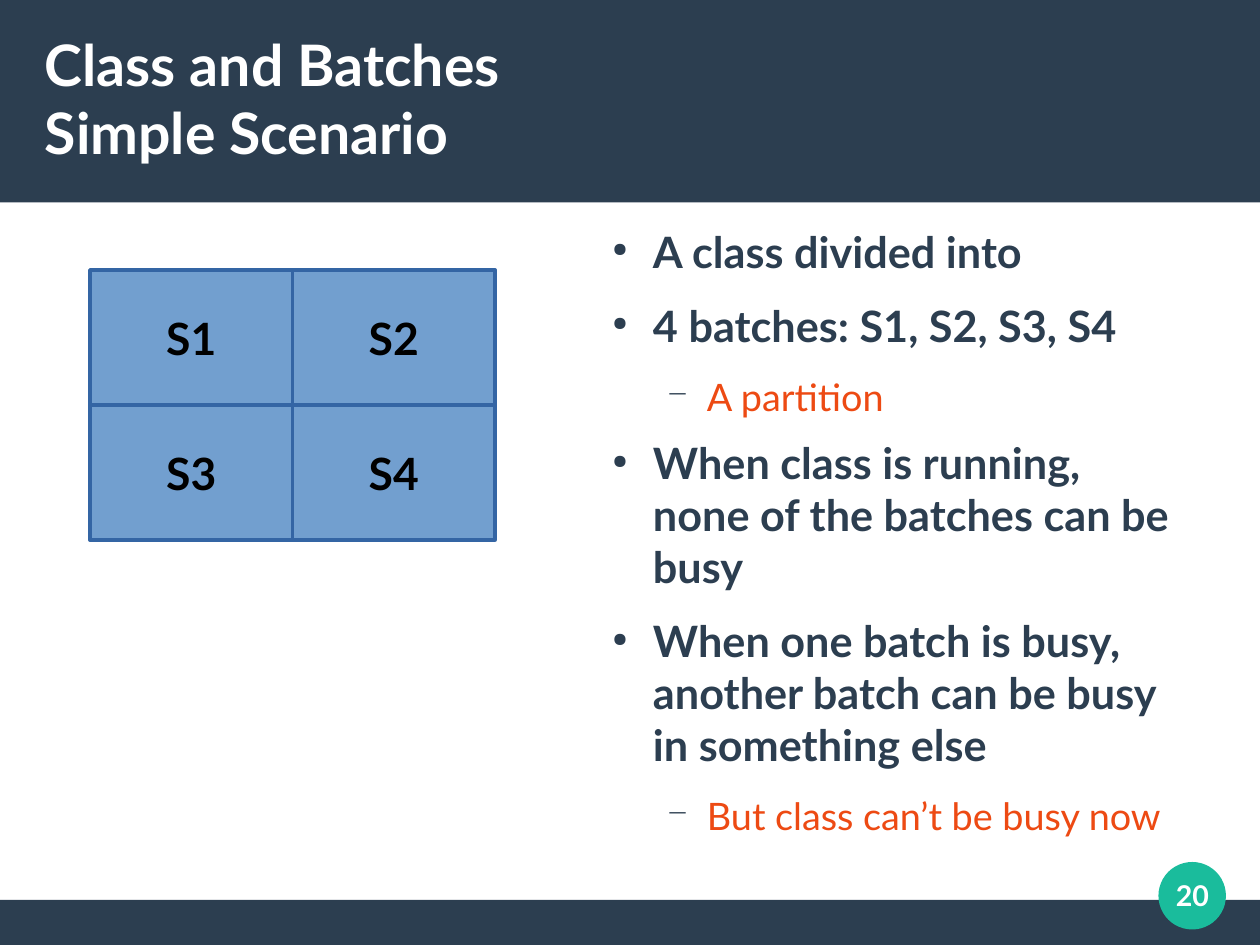
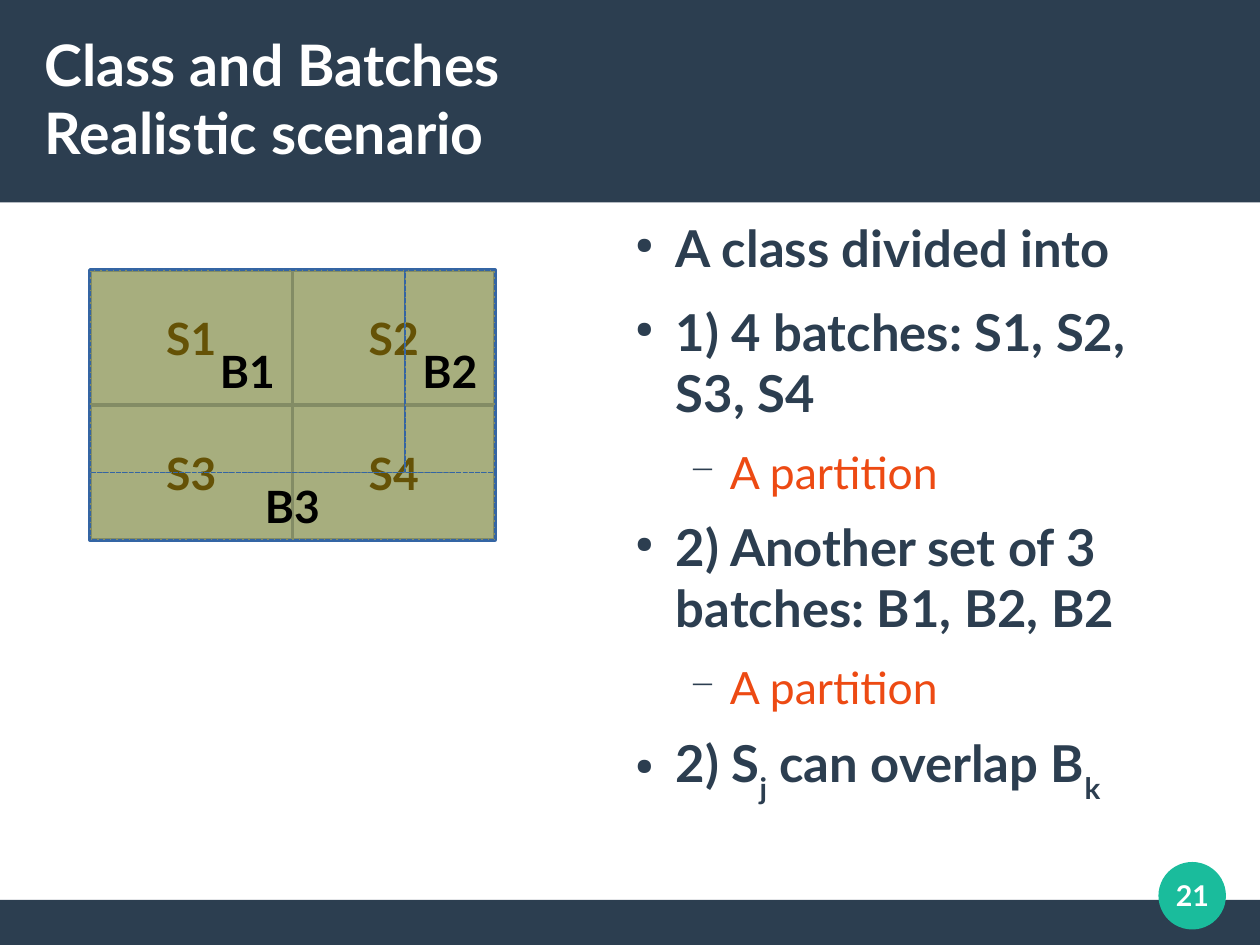
from dataclasses import dataclass
from typing import Any

from lxml.etree import SubElement as Sub
from pptx import Presentation
from pptx.dml.color import RGBColor as Rgb
from pptx.enum.dml import MSO_LINE as Dash
from pptx.enum.shapes import MSO_SHAPE as Geo
from pptx.enum.text import MSO_ANCHOR as Anchor, PP_ALIGN as Align
from pptx.oxml.ns import qn
from pptx.slide import Slide
from pptx.util import Pt

PX = 4000
WIDE, HIGH = 2520, 1890
FONT = "Lato"
NAVY = Rgb(0x2C, 0x3E, 0x50)
TEAL = Rgb(0x1A, 0xBC, 0x9C)
WHITE = Rgb(0xFF, 0xFF, 0xFF)
BLACK = Rgb(0, 0, 0)
BLUE = Rgb(0x72, 0x9F, 0xCF)
EDGE = Rgb(0x34, 0x65, 0xA4)
GOLD = Rgb(0xF1, 0xC4, 0x0F)
RED = Rgb(0xED, 0x4A, 0x13)

LEFT, TOP = 180, 540
CELL_W, CELL_H = 405, 270
STEP = 108
HANG = -81


@dataclass(frozen=True)
class Box:
    x: int
    y: int
    w: int
    h: int

    def emu(self) -> list[int]:
        return [n * PX for n in (self.x, self.y, self.w, self.h)]


@dataclass(frozen=True)
class Batch:
    name: str
    box: Box


@dataclass(frozen=True)
class Level:
    mark: str
    scale: int
    after: float
    color: Rgb
    bold: bool


@dataclass(frozen=True)
class Item:
    texts: tuple[str, ...]
    depth: int = 0


@dataclass(frozen=True)
class Page:
    title: str
    number: int
    body: Box
    sizes: tuple[float, float]
    items: tuple[Item, ...]
    extra: tuple[Batch, ...] = ()


LEVELS = (
    Level("●", 45, 14.1, NAVY, True),
    Level("−", 75, 11.3, RED, False),
)

BANDS = (
    (Geo.RECTANGLE, Box(0, 1800, WIDE, 90), NAVY),
    (Geo.RECTANGLE, Box(0, 0, WIDE, 405), NAVY),
    (Geo.OVAL, Box(2317, 1724, 135, 135), TEAL),
)

GRID = tuple(
    Batch(f"S{n + 1}", Box(LEFT + n % 2 * CELL_W, TOP + n // 2 * CELL_H, CELL_W, CELL_H))
    for n in range(4)
)

OVER = (
    Batch("B1", Box(LEFT, TOP, 630, 405)),
    Batch("B2", Box(LEFT + 630, TOP, 180, 405)),
    Batch("B3", Box(LEFT, TOP + 405, 810, 135)),
)

PAGES = (
    Page(
        "Class and Batches\vSimple Scenario", 20, Box(1198, 450, 1140, 1260), (27.2, 23.8),
        (
            Item(("A class divided into",)),
            Item(("4 batches: S1, S2, S3, S4",)),
            Item(("A partition",), 1),
            Item(("When class is running, none of the batches can be busy",)),
            Item(("When one batch is busy, another batch can be busy in something else",)),
            Item(("But class can’t be busy now",), 1),
        ),
    ),
    Page(
        "Class and Batches\vRealistic scenario", 21, Box(1244, 434, 1140, 1260), (32, 28),
        (
            Item(("A class divided into",)),
            Item(("1) 4 batches: S1, S2, S3, S4",)),
            Item(("A partition",), 1),
            Item(("2) Another set of 3 batches: B1, B2, B2",)),
            Item(("A partition",), 1),
            Item(("2) S", "j", " can overlap B", "k")),
        ),
        OVER,
    ),
)


def put(obj: Any, vals: dict[str, Any]) -> None:
    for key, val in vals.items():
        setattr(obj, key, val)


def style(font: Any, size: float, color: Rgb, bold: bool = True) -> None:
    put(font, {"name": FONT, "size": Pt(size), "bold": bold})
    font.color.rgb = color


def shape(slide: Slide, kind: Geo, box: Box, fill: Rgb) -> Any:
    form = slide.shapes.add_shape(kind, *box.emu())
    form.shadow.inherit = False
    form.fill.solid()
    form.fill.fore_color.rgb = fill
    form.line.fill.background()
    return form


def frame(slide: Slide, box: Box, anchor: Anchor) -> Any:
    text = slide.shapes.add_textbox(*box.emu()).text_frame
    put(text, {
        "word_wrap": True, "vertical_anchor": anchor,
        "margin_left": 0, "margin_right": 0, "margin_top": 0, "margin_bottom": 0,
    })
    return text


def label(text: Any, words: str, size: float, color: Rgb, align: Align) -> None:
    text.text = words
    para = text.paragraphs[0]
    para.alignment = align
    for run in para.runs:
        style(run.font, size, color)


def block(slide: Slide, batch: Batch, over: bool) -> None:
    form = shape(slide, Geo.RECTANGLE, batch.box, GOLD if over else BLUE)
    form.line.color.rgb = EDGE
    form.line.width = Pt(1 if over else 2.3)
    if over:
        form.line.dash_style = Dash.SQUARE_DOT
        tint = form._element.spPr.find(qn("a:solidFill"))[0]
        Sub(tint, qn("a:alpha"), val="42000")
    put(form.text_frame, {"word_wrap": False, "vertical_anchor": Anchor.MIDDLE})
    label(form.text_frame, batch.name, 28, BLACK, Align.CENTER)


def bullet(para: Any, item: Item, size: float) -> None:
    level = LEVELS[item.depth]
    put(para, {"level": item.depth, "space_after": Pt(level.after)})
    props = para._p.get_or_add_pPr()
    props.set("marL", str((item.depth + 1) * STEP * PX))
    props.set("indent", str(HANG * PX))
    Sub(Sub(props, qn("a:buClr")), qn("a:srgbClr"), val=str(NAVY))
    Sub(props, qn("a:buSzPct"), val=str(level.scale * 1000))
    Sub(props, qn("a:buChar"), char=level.mark)
    for n, words in enumerate(item.texts):
        run = para.add_run()
        run.text = words
        style(run.font, size, level.color, level.bold)
        if n % 2:
            run._r.get_or_add_rPr().set("baseline", "-33000")


def draw(slide: Slide, page: Page) -> None:
    for kind, box, fill in BANDS:
        shape(slide, kind, box, fill)
    title = frame(slide, Box(90, 75, 2340, 240), Anchor.MIDDLE)
    label(title, page.title, 36, WHITE, Align.LEFT)
    for batch in GRID:
        block(slide, batch, False)
    for batch in page.extra:
        block(slide, batch, True)
    body = frame(slide, page.body, Anchor.TOP)
    for n, item in enumerate(page.items):
        para = body.add_paragraph() if n else body.paragraphs[0]
        bullet(para, item, page.sizes[item.depth])
    number = frame(slide, Box(2295, 1701, 180, 180), Anchor.MIDDLE)
    label(number, str(page.number), 18, WHITE, Align.CENTER)


def main() -> None:
    deck = Presentation()
    put(deck, {"slide_width": WIDE * PX, "slide_height": HIGH * PX})
    for page in PAGES:
        draw(deck.slides.add_slide(deck.slide_layouts[6]), page)
    deck.save("out.pptx")


if __name__ == "__main__":
    main()
